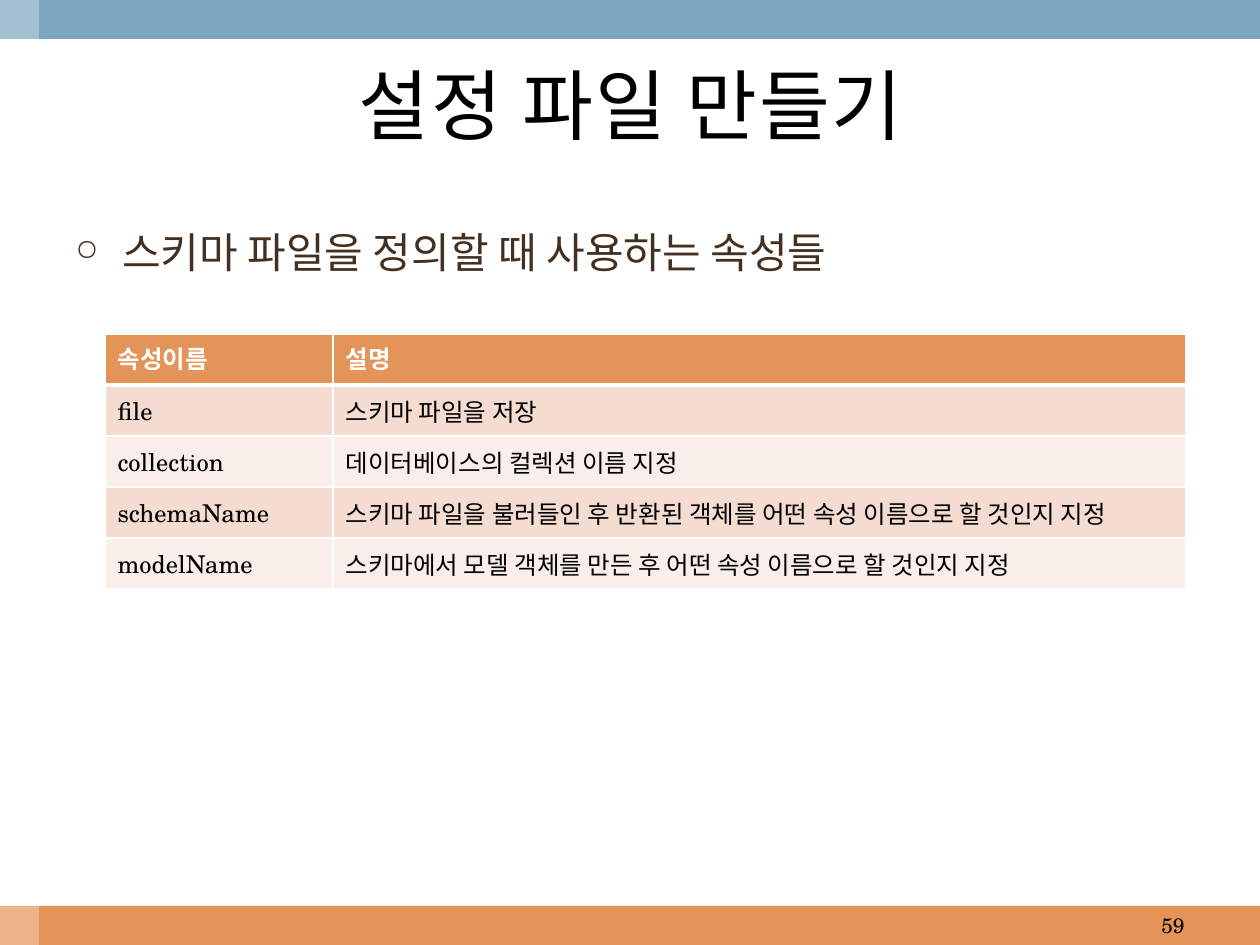
from lxml.etree import SubElement as Sub
from pptx import Presentation
from pptx.dml.color import RGBColor as RGB
from pptx.enum.shapes import MSO_SHAPE as Shape
from pptx.enum.text import MSO_ANCHOR as Anchor, PP_ALIGN as Align
from pptx.oxml.ns import qn
from pptx.util import Pt

SCALE = 914400 / 126
FONT = "TeX Gyre Schola"
WHITE = RGB(0xFF, 0xFF, 0xFF)
BLACK = RGB(0, 0, 0)
BROWN = RGB(0x43, 0x30, 0x21)
BLUE = RGB(0x7B, 0xA5, 0xBE)
ORANGE = RGB(0xE4, 0x94, 0x58)
BANDS = RGB(0xF5, 0xDC, 0xD1), RGB(0xFA, 0xEE, 0xEA)

WIDTH, HEIGHT, BAR = 1260, 945, 39
COLS = 228, 853
ROW = 51
ROWS = [
    ("속성이름", "설명"),
    ("file", "스키마 파일을 저장"),
    ("collection", "데이터베이스의 컬렉션 이름 지정"),
    ("schemaName", "스키마 파일을 불러들인 후 반환된 객체를 어떤 속성 이름으로 할 것인지 지정"),
    ("modelName", "스키마에서 모델 객체를 만든 후 어떤 속성 이름으로 할 것인지 지정"),
]


def px(num):
    """Turn pixels into EMU."""
    return round(num * SCALE)


def write(frame, text, size=14, color=BLACK, bold=False, align=Align.LEFT,
          anchor=Anchor.MIDDLE, track=0):
    """Put formatted text into a frame and return its paragraph."""
    frame.word_wrap = True
    frame.vertical_anchor = anchor
    para = frame.paragraphs[0]
    para.alignment = align
    run = para.add_run()
    run.text = text
    font = run.font
    font.name, font.size, font.bold = FONT, Pt(size), bold
    font.color.rgb = color
    if track:
        run._r.get_or_add_rPr().set("spc", str(track))
    return para


def add_text(slide, box, text, **form):
    """Add a text box and return its paragraph."""
    shape = slide.shapes.add_textbox(*map(px, box))
    return write(shape.text_frame, text, **form)


def add_bar(slide, box, color, alpha=None):
    """Add a plain rectangle, see-through if alpha is given."""
    bar = slide.shapes.add_shape(Shape.RECTANGLE, *map(px, box))
    bar.shadow.inherit = False
    bar.line.fill.background()
    bar.fill.solid()
    bar.fill.fore_color.rgb = color
    if alpha:
        tint = bar._element.spPr.find(".//" + qn("a:srgbClr"))
        Sub(tint, qn("a:alpha"), val=str(alpha * 1000))


def add_bullet(para, char, size, indent):
    """Give a paragraph a hanging bullet."""
    props = para._p.get_or_add_pPr()
    props.set("marL", str(px(indent)))
    props.set("indent", str(-px(indent)))
    Sub(props, qn("a:buSzPct"), val=str(size * 1000))
    Sub(props, qn("a:buChar"), char=char)


def add_edge(cell, side, width):
    """Draw one white border of a cell."""
    line = Sub(cell._tc.get_or_add_tcPr(), qn("a:ln" + side), w=str(Pt(width)))
    fill = Sub(line, qn("a:solidFill"))
    Sub(fill, qn("a:srgbClr"), val=str(WHITE))


def add_grid(slide, left, top):
    """Add the table of schema attributes."""
    size = sum(COLS), ROW * len(ROWS)
    grid = slide.shapes.add_table(
        len(ROWS), len(COLS), *map(px, (left, top, *size))).table
    grid.first_row = grid.horz_banding = False
    for col, width in zip(grid.columns, COLS):
        col.width = px(width)
    for i, row in enumerate(ROWS):
        grid.rows[i].height = px(ROW)
        head = i == 0
        for j, text in enumerate(row):
            cell = grid.cell(i, j)
            for side in "LRTB":
                thick = (side == "B" and head) or (side == "T" and i == 1)
                add_edge(cell, side, 3 if thick else 1)
            cell.fill.solid()
            cell.fill.fore_color.rgb = ORANGE if head else BANDS[(i - 1) % 2]
            write(cell.text_frame, text, bold=head,
                  color=WHITE if head else BLACK)
            cell.vertical_anchor = Anchor.TOP if head else Anchor.MIDDLE


def main():
    """Build the slide and save it."""
    deck = Presentation()
    deck.slide_width, deck.slide_height = px(WIDTH), px(HEIGHT)
    slide = deck.slides.add_slide(deck.slide_layouts[6])
    foot = HEIGHT - BAR
    add_bar(slide, (0, foot, WIDTH, BAR), ORANGE)
    add_bar(slide, (0, 0, WIDTH, BAR), BLUE)
    add_bar(slide, (0, 0, BAR, HEIGHT), WHITE, alpha=30)
    para = add_text(slide, (63, 220, 1134, 83), "스키마 파일을 정의할 때 사용하는 속성들",
                    size=24, color=BROWN, anchor=Anchor.TOP)
    para.space_before = Pt(4.8)
    add_bullet(para, "○", 70, 47)
    add_text(slide, (903, foot, 294, BAR), "59", size=12, align=Align.RIGHT)
    add_text(slide, (41, 39, 1180, 130), "설정 파일 만들기",
             size=44, align=Align.CENTER, track=100)
    add_grid(slide, 105, 334)
    deck.save("out.pptx")


if __name__ == "__main__":
    main()
